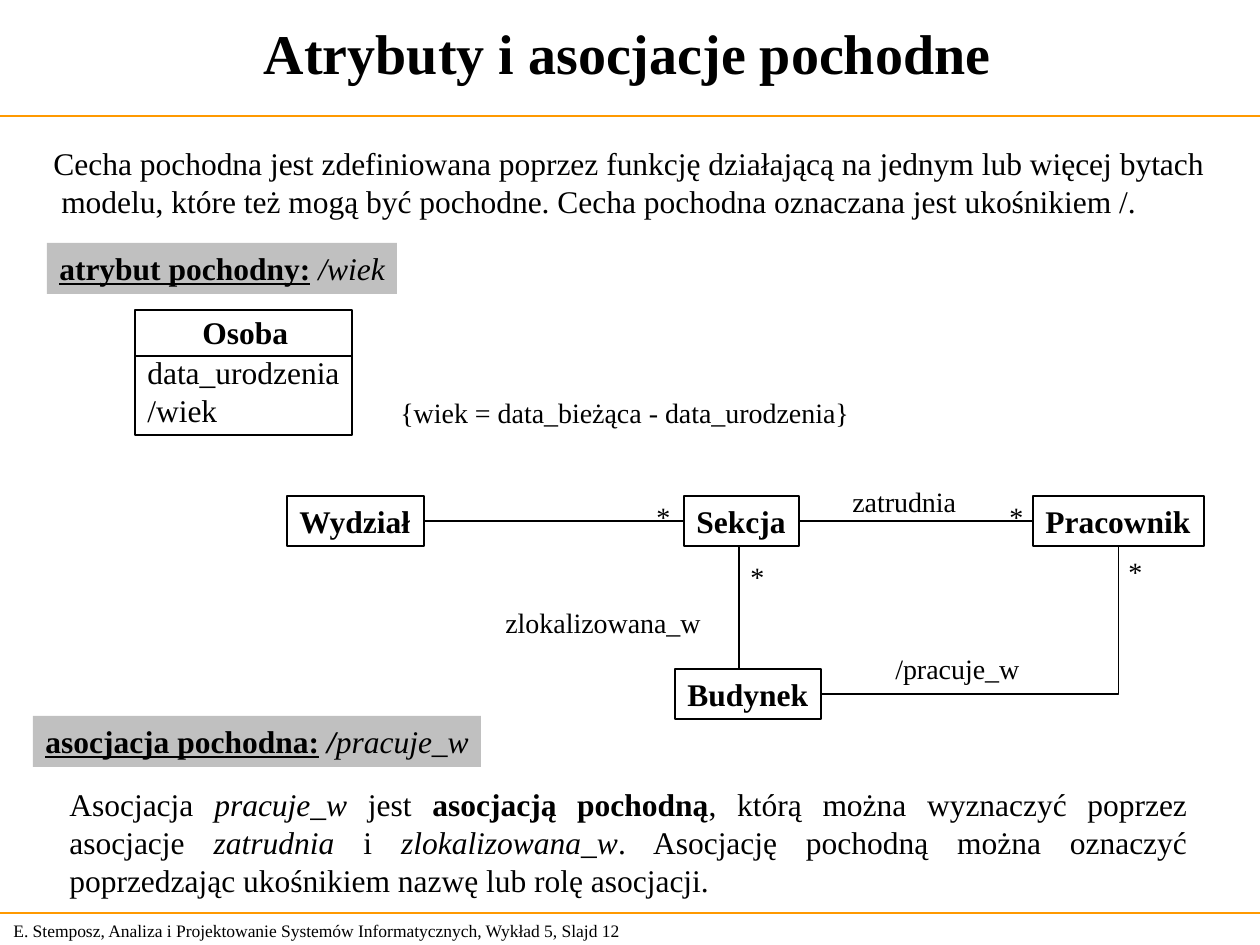
from lxml.etree import SubElement
from pptx import Presentation
from pptx.dml.color import RGBColor
from pptx.enum.shapes import MSO_CONNECTOR, MSO_SHAPE
from pptx.enum.text import MSO_ANCHOR, MSO_AUTO_SIZE, PP_ALIGN
from pptx.oxml.ns import qn
from pptx.util import Emu, Pt

SCALE = 914400 / 126  # EMU per px
MARGIN = Emu(91440)
COLORS = {"text": "000000", "line": "000000", "rule": "FF9900",
          "label": "C0C0C0", "box": "FFFFFF"}
FORMATS = {
    "": {},
    "b": {"bold": True},
    "i": {"italic": True},
    "bi": {"bold": True, "italic": True},
    "bu": {"bold": True, "underline": True},
}

presentation = Presentation()
presentation.slide_width = Emu(round(1260 * SCALE))
presentation.slide_height = Emu(round(945 * SCALE))
slide = presentation.slides.add_slide(presentation.slide_layouts[6])


def add_text(place, paragraphs, size=18, align=PP_ALIGN.LEFT,
             fill=None, line=None, frame_format=None):
    """Add a text box, or a rectangle when it has a fill or a line.

    Each paragraph is a list of (text, format key) runs. There is no right
    margin by default, so that tight labels stay on one line.
    """
    place = [Emu(round(length * SCALE)) for length in place]
    if fill or line:
        shape = slide.shapes.add_shape(MSO_SHAPE.RECTANGLE, *place)
        shape.shadow.inherit = False
        if fill:
            shape.fill.solid()
            shape.fill.fore_color.rgb = RGBColor.from_string(COLORS[fill])
        else:
            shape.fill.background()
        if line:
            shape.line.color.rgb = RGBColor.from_string(COLORS[line])
            shape.line.width = Pt(1)
        else:
            shape.line.fill.background()
    else:
        shape = slide.shapes.add_textbox(*place)
    frame = shape.text_frame
    settings = {"word_wrap": True, "auto_size": MSO_AUTO_SIZE.NONE,
                "vertical_anchor": MSO_ANCHOR.TOP, "margin_right": 0}
    for name, value in (settings | (frame_format or {})).items():
        setattr(frame, name, value)
    for index, runs in enumerate(paragraphs):
        paragraph = frame.add_paragraph() if index else frame.paragraphs[0]
        paragraph.alignment = align
        for text, key in runs:
            run = paragraph.add_run()
            run.text = text
            run.font.color.rgb = RGBColor.from_string(COLORS["text"])
            font_format = {"name": "Times New Roman", "size": Pt(size)}
            for name, value in (font_format | FORMATS[key]).items():
                setattr(run.font, name, value)
    return shape


def add_line(ends, color="line", width=1, kind=MSO_CONNECTOR.STRAIGHT):
    """Add a connector from (x1, y1) to (x2, y2)."""
    connector = slide.shapes.add_connector(
        kind, *[Emu(round(length * SCALE)) for length in ends])
    connector.line.color.rgb = RGBColor.from_string(COLORS[color])
    connector.line.width = Pt(width)
    SubElement(connector._element.spPr, qn("a:effectLst"))
    return connector


# Footer, rules and title
add_text((1, 913, 660, 34),
         [[("E. Stemposz, Analiza i Projektowanie Systemów Informatycznych, "
            "Wykład 5, Slajd 12", "")]],
         size=10, frame_format={"vertical_anchor": MSO_ANCHOR.MIDDLE})
for y in (116, 913):
    add_line((0, y, 1260, y), color="rule", width=0.75)
add_text((0, -1, 1255, 107), [[("Atrybuty i asocjacje pochodne", "b")]],
         size=32, align=PP_ALIGN.CENTER,
         frame_format={"vertical_anchor": MSO_ANCHOR.MIDDLE,
                       "margin_right": MARGIN})

# Introduction
add_text((41, 138, 1177, 88), [
    [("Cecha pochodna jest zdefiniowana poprzez funkcję działającą "
      "na jednym lub więcej bytach", "")],
    [(" modelu, które też mogą być pochodne. "
      "Cecha pochodna oznaczana jest ukośnikiem /.", "")],
], align=PP_ALIGN.JUSTIFY)

# Grey section labels
add_text((47, 243, 350, 51),
         [[("atrybut pochodny:", "bu"), (" ", "b"), ("/wiek", "i")]], fill="label")
add_text((33, 716, 448, 51),
         [[("asocjacja pochodna:", "bu"), (" ", "b"), ("/", "bi"),
           ("pracuje_w", "i")]], fill="label")

# Class Osoba: attributes, name, divider and constraint
add_text((135, 310, 217, 125), [[("data_urodzenia", "")], [("/wiek", "")]],
         line="line", frame_format={"margin_top": Emu(round(43 * SCALE))})
add_text((190, 307, 111, 51), [[("Osoba", "b")]])
add_line((135, 356, 352, 356))
add_text((388, 389, 481, 46), [[("{wiek = data_bieżąca - data_urodzenia}", "")]],
         size=16)

# Classes of the association diagram
classes = {}
for name, left, top, width in (("Wydział", 287, 496, 137), ("Sekcja", 684, 496, 115),
                               ("Pracownik", 1033, 496, 171), ("Budynek", 675, 669, 146)):
    classes[name] = add_text((left, top, width, 50), [[(name, "b")]],
                             fill="box", line="line")

# Associations
for start, end, ends in (("Wydział", "Sekcja", (424, 521, 684, 521)),
                         ("Sekcja", "Pracownik", (799, 521, 1033, 521))):
    association = add_line(ends)
    association.begin_connect(classes[start], 3)
    association.end_connect(classes[end], 1)
add_line((739, 546, 739, 669))

# Derived association with a single bend
derived = add_line((821, 694, 1119, 546), width=0.75, kind=MSO_CONNECTOR.ELBOW)
derived._element.spPr.find(qn("a:prstGeom")).set("prst", "bentConnector2")
derived.begin_connect(classes["Budynek"], 3)
derived.end_connect(classes["Pracownik"], 2)

# Association names and multiplicities
for text, left, top, width in (("zatrudnia", 840, 478, 129),
                               ("zlokalizowana_w", 493, 599, 220),
                               ("/pracuje_w", 883, 645, 149),
                               ("*", 644, 493, 39), ("*", 997, 493, 39),
                               ("*", 1116, 548, 39), ("*", 738, 553, 39)):
    add_text((left, top, width, 47), [[(text, "")]], size=16)

# Explanation
add_text((57, 779, 1143, 126), [[
    ("Asocjacja ", ""), ("pracuje_w", "i"), (" jest ", ""),
    ("asocjacją pochodną", "b"),
    (", którą można wyznaczyć poprzez asocjacje ", ""), ("zatrudnia", "i"),
    (" i ", ""), ("zlokalizowana_w", "i"),
    (". Asocjację pochodną można oznaczyć poprzedzając ukośnikiem "
     "nazwę lub rolę asocjacji.", ""),
]], align=PP_ALIGN.JUSTIFY, frame_format={"margin_right": MARGIN})

presentation.save("out.pptx")
